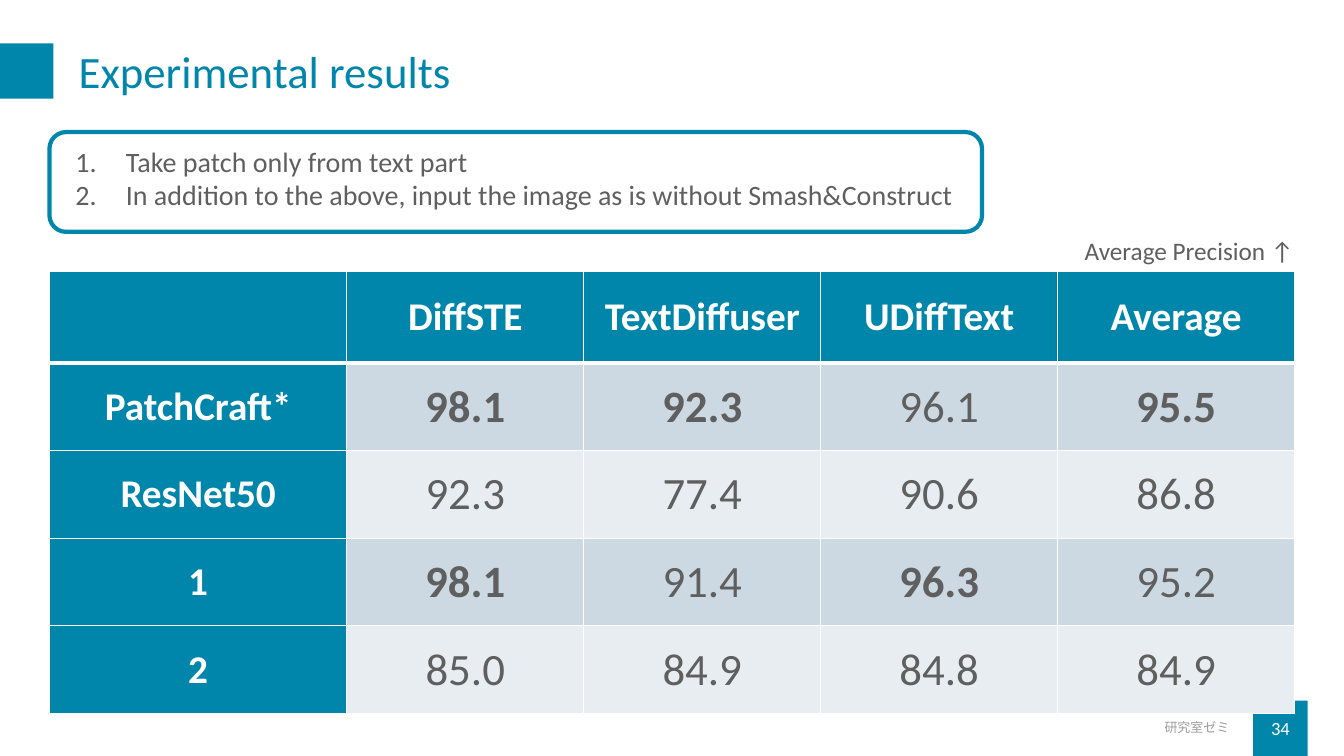
from lxml import etree
from pptx import Presentation
from pptx.dml.color import RGBColor
from pptx.enum.shapes import MSO_SHAPE
from pptx.enum.text import MSO_ANCHOR, PP_ALIGN
from pptx.oxml.ns import qn
from pptx.util import Inches, Pt

RECT, ROUNDED = MSO_SHAPE.RECTANGLE, MSO_SHAPE.ROUNDED_RECTANGLE
LEFT, CENTER, RIGHT = PP_ALIGN.LEFT, PP_ALIGN.CENTER, PP_ALIGN.RIGHT
TOP, MIDDLE = MSO_ANCHOR.TOP, MSO_ANCHOR.MIDDLE

COLORS = {"teal": "0086AB", "text": "5F5F5F", "muted": "9D9D9D",
          "white": "FFFFFF", "band": "CCD9E2", "light": "E7EDF1"}
FONT = "Calibri"

HEADERS = ["", "DiffSTE", "TextDiffuser", "UDiffText", "Average"]
RESULTS = [
    ["PatchCraft*", "98.1", "92.3", "96.1", "95.5"],
    ["ResNet50", "92.3", "77.4", "90.6", "86.8"],
    ["1", "98.1", "91.4", "96.3", "95.2"],
    ["2", "85.0", "84.9", "84.8", "84.9"],
]
METHODS = ["Take patch only from text part",
           "In addition to the above, input the image as is without Smash&Construct"]


def rgb(name):
    return RGBColor.from_string(COLORS[name])


class SlideBuilder:
    def __init__(self, slide):
        self.slide = slide

    def style(self, paragraph, size, color, align=LEFT, bold=False):
        paragraph.alignment = align
        font = paragraph.font
        font.name, font.size, font.bold = FONT, Pt(size), bold
        font.color.rgb = rgb(color)

    def title(self, text, box):
        title = self.slide.shapes.title
        title.left, title.top, title.width, title.height = map(Inches, box)
        title.text_frame.text = text
        title.text_frame.vertical_anchor = MIDDLE
        paragraph = title.text_frame.paragraphs[0]
        paragraph.line_spacing = 0.9
        self.style(paragraph, 32, "teal")

    def shape(self, kind, box, fill=None, line=None):
        shape = self.slide.shapes.add_shape(kind, *map(Inches, box))
        shape.shadow.inherit = False
        if fill:
            shape.fill.solid()
            shape.fill.fore_color.rgb = rgb(fill)
        else:
            shape.fill.background()
        if line:
            shape.line.color.rgb = rgb(line)
            shape.line.width = Pt(3)
        else:
            shape.line.fill.background()

    def text(self, lines, box, size, color, align=LEFT, anchor=TOP,
             wrap=True, numbered=False, field=None):
        frame = self.slide.shapes.add_textbox(*map(Inches, box)).text_frame
        frame.word_wrap = wrap
        frame.vertical_anchor = anchor
        frame.text = "\n".join(lines)
        for paragraph in frame.paragraphs:
            if numbered:
                props = paragraph._p.get_or_add_pPr()
                props.set("marL", str(Inches(0.5)))
                props.set("indent", str(-Inches(0.5)))
                etree.SubElement(props, qn("a:buFont"), typeface="+mj-lt")
                etree.SubElement(props, qn("a:buAutoNum"), type="arabicPeriod")
            self.style(paragraph, size, color, align)

    def borders(self, cell, bottom, top):
        props = cell._tc.get_or_add_tcPr()
        for side, width in (("L", 1), ("R", 1), ("T", top), ("B", bottom)):
            line = etree.SubElement(props, qn("a:ln" + side), w=str(Pt(width)))
            fill = etree.SubElement(line, qn("a:solidFill"))
            etree.SubElement(fill, qn("a:srgbClr"), val=COLORS["white"])

    def table(self, rows, box, widths, heights):
        table = self.slide.shapes.add_table(
            len(rows), len(rows[0]), *map(Inches, box)).table
        for column, width in zip(table.columns, widths):
            column.width = Inches(width)
        for row, height in zip(table.rows, heights):
            row.height = Inches(height)
        # The best score of each column is bold
        best = [max(column[1:]) for column in zip(*rows)]
        for r, row in enumerate(rows):
            for c, value in enumerate(row):
                cell = table.cell(r, c)
                self.borders(cell, bottom=3 if r == 0 else 1,
                             top=3 if r == 1 else 1)
                heading = r == 0 or c == 0
                cell.fill.solid()
                cell.fill.fore_color.rgb = rgb(
                    "teal" if heading else "band" if r % 2 else "light")
                cell.text = value
                cell.vertical_anchor = MIDDLE
                self.style(cell.text_frame.paragraphs[0],
                           28 if heading else 32,
                           "white" if heading else "text",
                           CENTER, heading or value == best[c])


def main():
    prs = Presentation()
    prs.slide_width, prs.slide_height = Inches(13.33), Inches(7.5)
    builder = SlideBuilder(prs.slides.add_slide(prs.slide_layouts[5]))

    # Title and accent blocks
    builder.shape(RECT, (12.43, 6.95, 0.54, 0.55), fill="teal")
    builder.shape(RECT, (-0.01, 0.43, 0.54, 0.55), fill="teal")
    builder.title("Experimental results", (0.68, 0.34, 12.17, 0.79))

    # Footer
    builder.text(["34"], (12.43, 7.02, 0.54, 0.4), 13.3, "white",
                 CENTER, MIDDLE)
    builder.text(["研究室ゼミ"], (7.79, 7.02, 4.5, 0.4), 9.3, "muted",
                 RIGHT, MIDDLE)

    # Scores
    builder.table([HEADERS] + RESULTS, (0.49, 2.69, 12.35, 4.39),
                  [2.95] + [2.35] * 4, [0.91] + [0.87] * 4)
    builder.text(["Average Precision ↑"], (10.66, 2.29, 2.3, 0.4), 18, "text",
                 wrap=False)

    # Numbered methods in a frame
    builder.text(METHODS, (0.65, 1.38, 9.25, 0.77), 20, "text", numbered=True)
    builder.shape(ROUNDED, (0.49, 1.31, 9.25, 0.99), line="teal")

    prs.save("out.pptx")


if __name__ == "__main__":
    main()
